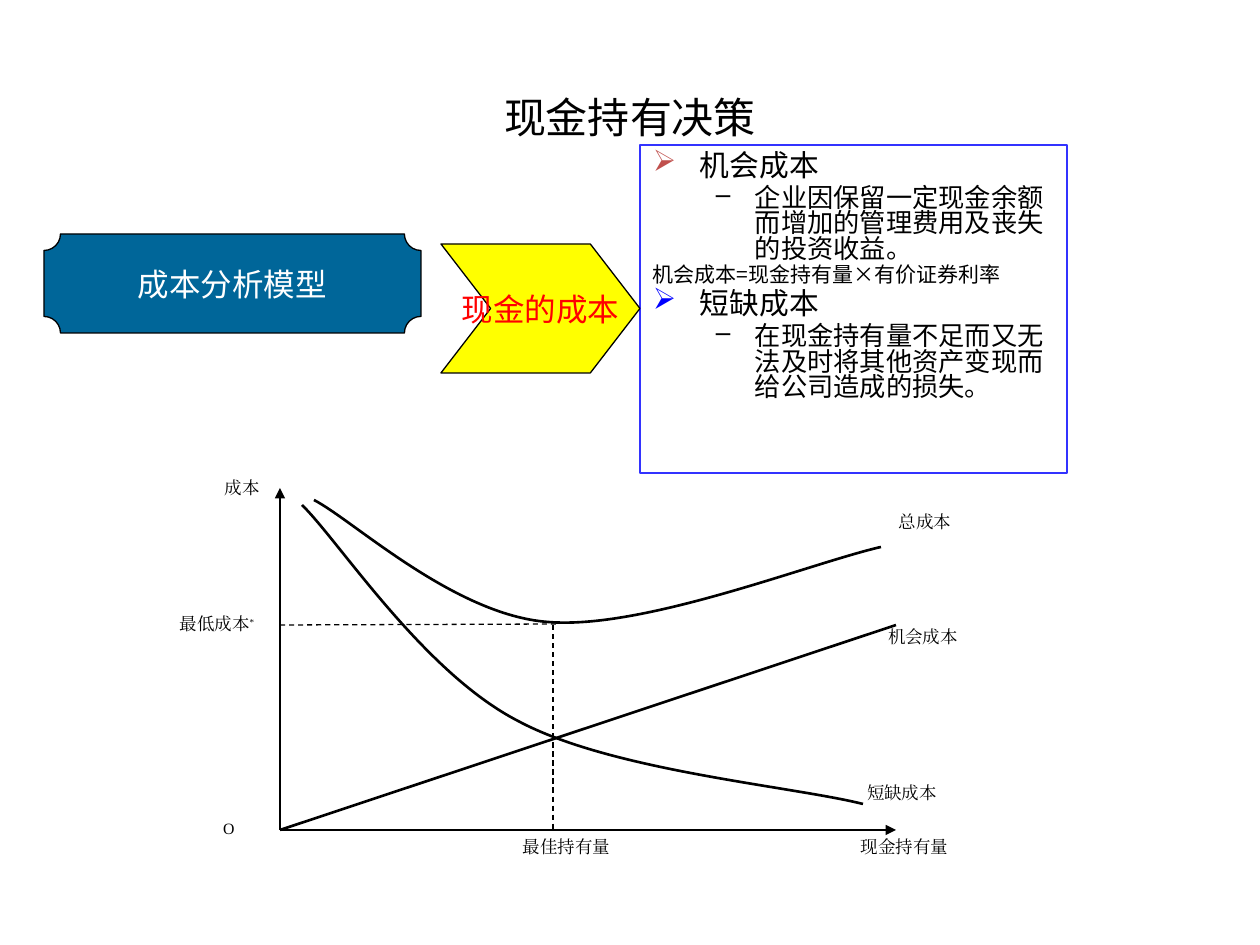
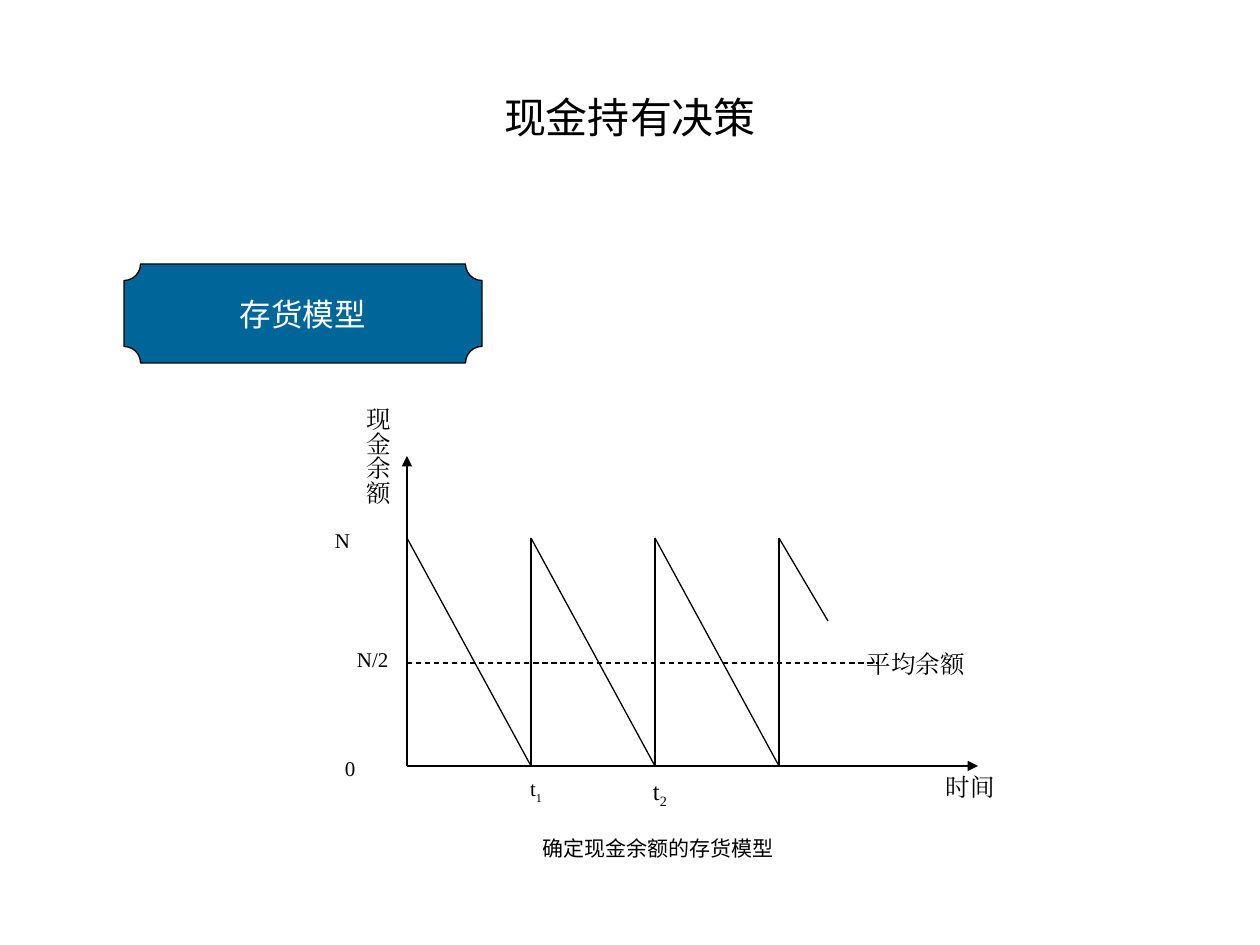
from pptx import Presentation
from pptx.dml.color import RGBColor
from pptx.enum.dml import MSO_LINE_DASH_STYLE as Dash
from pptx.enum.lang import MSO_LANGUAGE_ID as Language
from pptx.enum.shapes import MSO_CONNECTOR_TYPE as Connector, MSO_SHAPE as Preset
from pptx.enum.text import MSO_ANCHOR as Anchor, PP_ALIGN as Align
from pptx.oxml.ns import qn
from pptx.oxml.xmlchemy import OxmlElement
from pptx.util import Pt

PX = 914400 / 126  # EMU per pixel
BLACK, WHITE, RED, BLUE = "000000", "FFFFFF", "FF0000", "0000FF"
YELLOW, PLAQUE_BLUE, FRAME_BLUE, BULLET_RED = "FFFF00", "006699", "3333FF", "C0504D"
HEADING_FONT, SHAPE_FONT, LABEL_FONT = "Noto Sans CJK SC", "Calibri", "Times New Roman"


def box(*lengths):
    return [round(length * PX) for length in lengths]


def add_run(paragraph, text, size, font=LABEL_FONT, color=BLACK, baseline=0):
    run = paragraph.add_run()
    run.text = text
    run.font.size = Pt(size)
    run.font.name = font
    run.font.language_id = Language.SIMPLIFIED_CHINESE
    run.font.color.rgb = RGBColor.from_string(color)
    properties = run._r.get_or_add_rPr()
    east_asian = OxmlElement("a:ea")
    east_asian.set("typeface", font)
    properties.find(qn("a:latin")).addnext(east_asian)
    if baseline:
        properties.set("baseline", str(baseline * 1000))


presentation = Presentation()
presentation.slide_width, presentation.slide_height = box(1260, 945)

# Slides with their shared title
slides = []
for title_font in (HEADING_FONT, SHAPE_FONT):
    slide = presentation.slides.add_slide(presentation.slide_layouts[5])
    title = slide.shapes.title
    title.left, title.top, title.width, title.height = box(63, 38, 1134, 157)
    title.text_frame.vertical_anchor = Anchor.MIDDLE
    paragraph = title.text_frame.paragraphs[0]
    paragraph.alignment = Align.CENTER
    add_run(paragraph, "现金持有决策", 24, title_font)
    slides.append(slide)
cost_slide, stock_slide = slides

# Cost list on the first slide
frame = cost_slide.shapes.add_shape(Preset.RECTANGLE, *box(640, 145, 427, 328))
frame.shadow.inherit = False
frame.fill.background()
frame.line.color.rgb = RGBColor.from_string(FRAME_BLUE)
frame.line.width = Pt(0.75)
text_frame = frame.text_frame
text_frame.word_wrap = True
text_frame.vertical_anchor = Anchor.TOP
text_frame.margin_left, text_frame.margin_right, text_frame.margin_top = box(13, 13, 9)

# Text, size, left margin, hanging indent, bullet, bullet colour
costs = [
    ("机会成本", 17, 47, 47, "➢", BULLET_RED),
    ("企业因保留一定现金余额而增加的管理费用及丧失的投资收益。", 15, 102, 39, "–", BLACK),
    ("机会成本=现金持有量×有价证券利率", 12, 47, 47, None, None),
    ("短缺成本", 17, 47, 47, "➢", BLUE),
    ("在现金持有量不足而又无法及时将其他资产变现而给公司造成的损失。", 15, 102, 39, "–", BLACK),
]
for index, (text, size, margin, hanging, bullet, bullet_color) in enumerate(costs):
    paragraph = text_frame.paragraphs[0] if index == 0 else text_frame.add_paragraph()
    paragraph.alignment = Align.LEFT
    paragraph.line_spacing = Pt(round(size * 0.96, 1))
    paragraph.space_before = Pt(0 if index == 0 else round(size * 0.2))
    properties = paragraph._p.get_or_add_pPr()
    properties.set("marL", str(round(margin * PX)))
    properties.set("indent", str(round(-hanging * PX)))
    if bullet:
        bullet_fill = OxmlElement("a:buClr")
        color = OxmlElement("a:srgbClr")
        color.set("val", bullet_color)
        bullet_fill.append(color)
        character = OxmlElement("a:buChar")
        character.set("char", bullet)
        properties.extend([bullet_fill, character])
    add_run(paragraph, text, size, HEADING_FONT)

# Plaques and chevron
banners = [
    (cost_slide, Preset.CHEVRON, (441, 244, 199, 129), 0.385, YELLOW, "现金的成本", RED),
    (cost_slide, Preset.PLAQUE, (44, 234, 377, 99), 0.167, PLAQUE_BLUE, "成本分析模型", WHITE),
    (stock_slide, Preset.PLAQUE, (124, 264, 358, 99), 0.167, PLAQUE_BLUE, "存货模型", WHITE),
]
for slide, preset, place, adjustment, fill, text, color in banners:
    shape = slide.shapes.add_shape(preset, *box(*place))
    shape.shadow.inherit = False
    shape.adjustments[0] = adjustment
    shape.fill.solid()
    shape.fill.fore_color.rgb = RGBColor.from_string(fill)
    shape.line.color.rgb = RGBColor.from_string(BLACK)
    shape.line.width = Pt(0.75)
    shape.text_frame.word_wrap = False
    shape.text_frame.vertical_anchor = Anchor.MIDDLE
    paragraph = shape.text_frame.paragraphs[0]
    paragraph.alignment = Align.CENTER
    add_run(paragraph, text, 18, SHAPE_FONT, color)

# Axes, guides and straight graphs: slide, ends, width, style
lines = [
    (cost_slide, (280, 830, 280, 488), 0.75, "arrow"),
    (cost_slide, (280, 830, 896, 830), 0.75, "arrow"),
    (cost_slide, (280, 625, 557, 624), 0.75, "dash"),
    (cost_slide, (553, 625, 553, 830), 0.75, "dash"),
    (cost_slide, (280, 830, 896, 625), 1.5, "plain"),
    (stock_slide, (407, 766, 407, 456), 0.75, "arrow"),
    (stock_slide, (407, 766, 978, 766), 0.75, "arrow"),
    (stock_slide, (407, 663, 878, 663), 0.75, "dash"),
]
# Saw-tooth cash balance: three full periods, then part of a fourth
for period in range(3):
    start = 407 + 124 * period
    end = start + 124
    lines.append((stock_slide, (start, 538, end, 766), 0.75, "plain"))
    lines.append((stock_slide, (end, 766, end, 538), 0.75, "plain"))
lines.append((stock_slide, (779, 538, 828, 621), 0.75, "plain"))

for slide, ends, width, style in lines:
    connector = slide.shapes.add_connector(Connector.STRAIGHT, *box(*ends))
    connector.line.color.rgb = RGBColor.from_string(BLACK)
    connector.line.width = Pt(width)
    if style == "dash":
        connector.line.dash_style = Dash.DASH
    if style == "arrow":
        arrowhead = OxmlElement("a:tailEnd")
        arrowhead.set("type", "triangle")
        connector.line._get_or_add_ln().append(arrowhead)
    connector._element.spPr.append(OxmlElement("a:effectLst"))

# Shortage cost and total cost curves: start, then control, control, end
curves = [
    [(302, 505), (339, 541), (423, 672), (518, 721), (611, 771), (791, 786), (863, 804)],
    [(314, 500), (353, 520), (454, 615), (548, 622), (643, 630), (811, 563), (881, 547)],
]
for start, *points in curves:
    builder = cost_slide.shapes.build_freeform(*start, scale=PX)
    builder.add_line_segments(points, close=False)
    curve = builder.convert_to_shape()
    curve.shadow.inherit = False
    curve.fill.background()
    curve.line.color.rgb = RGBColor.from_string(BLACK)
    curve.line.width = Pt(1.5)
    segments = curve._element.xpath(".//a:lnTo")
    for first, second, third in zip(segments[::3], segments[1::3], segments[2::3]):
        for segment in (second, third):
            first.append(segment[0])
            segment.getparent().remove(segment)
        first.tag = qn("a:cubicBezTo")

# Labels: slide, box, left edge of text, top inset, runs of (text, size, ...)
labels = [
    (cost_slide, (873, 505, 137, 52), 899, 6, [("总成本", 10)]),
    (cost_slide, (821, 620, 160, 52), 888, 6, [("机会成本", 10)]),
    (cost_slide, (804, 776, 160, 52), 867, 6, [("短缺成本", 10)]),
    (cost_slide, (512, 830, 150, 52), 523, 6, [("最佳持有量", 10)]),
    (cost_slide, (166, 607, 98, 52), 180, 6,
     [("最低成本", 10), ("*", 9, LABEL_FONT, BLACK, 30)]),
    (cost_slide, (212, 813, 68, 52), 223, 6, [("O", 9)]),
    (cost_slide, (189, 471, 91, 52), 225, 6, [("成本", 10)]),
    (cost_slide, (758, 830, 217, 52), 861, 6, [("现金持有量", 10)]),
    (stock_slide, (620, 770, 77, 62), 653, 6,
     [("t", 14), ("2", 14, LABEL_FONT, BLACK, -25)]),
    (stock_slide, (501, 770, 72, 62), 530, 6,
     [("t", 12), ("1", 12, LABEL_FONT, BLACK, -25)]),
    (stock_slide, (927, 766, 100, 62), 946, 6, [("时间", 14)]),
    (stock_slide, (853, 643, 174, 62), 867, 6, [("平均余额", 14)]),
    (stock_slide, (333, 522, 100, 62), 335, 6, [("N", 12)]),
    (stock_slide, (312, 641, 100, 62), 357, 6, [("N/2", 12)]),
    (stock_slide, (343, 750, 79, 62), 345, 6, [("0", 12)]),
    (stock_slide, (530, 820, 297, 63), 543, 16, [("确定现金余额的存货模型", 12, SHAPE_FONT)]),
]
for slide, place, text_left, top_inset, runs in labels:
    label = slide.shapes.add_textbox(*box(*place))
    text_frame = label.text_frame
    text_frame.word_wrap = True
    text_frame.margin_left, text_frame.margin_top = box(text_left - place[0], top_inset)
    text_frame.margin_right = 0
    for run in runs:
        add_run(text_frame.paragraphs[0], *run)

# Vertical axis label
axis_label = stock_slide.shapes.add_textbox(*box(360, 407, 36, 120))
text_frame = axis_label.text_frame
text_frame.word_wrap = True
text_frame.vertical_anchor = Anchor.MIDDLE
text_frame.margin_left = text_frame.margin_right = 0
text_frame.margin_top = text_frame.margin_bottom = 0
text_frame._txBody.bodyPr.set("vert", "eaVert")
add_run(text_frame.paragraphs[0], "现金余额", 14)

presentation.save("out.pptx")
